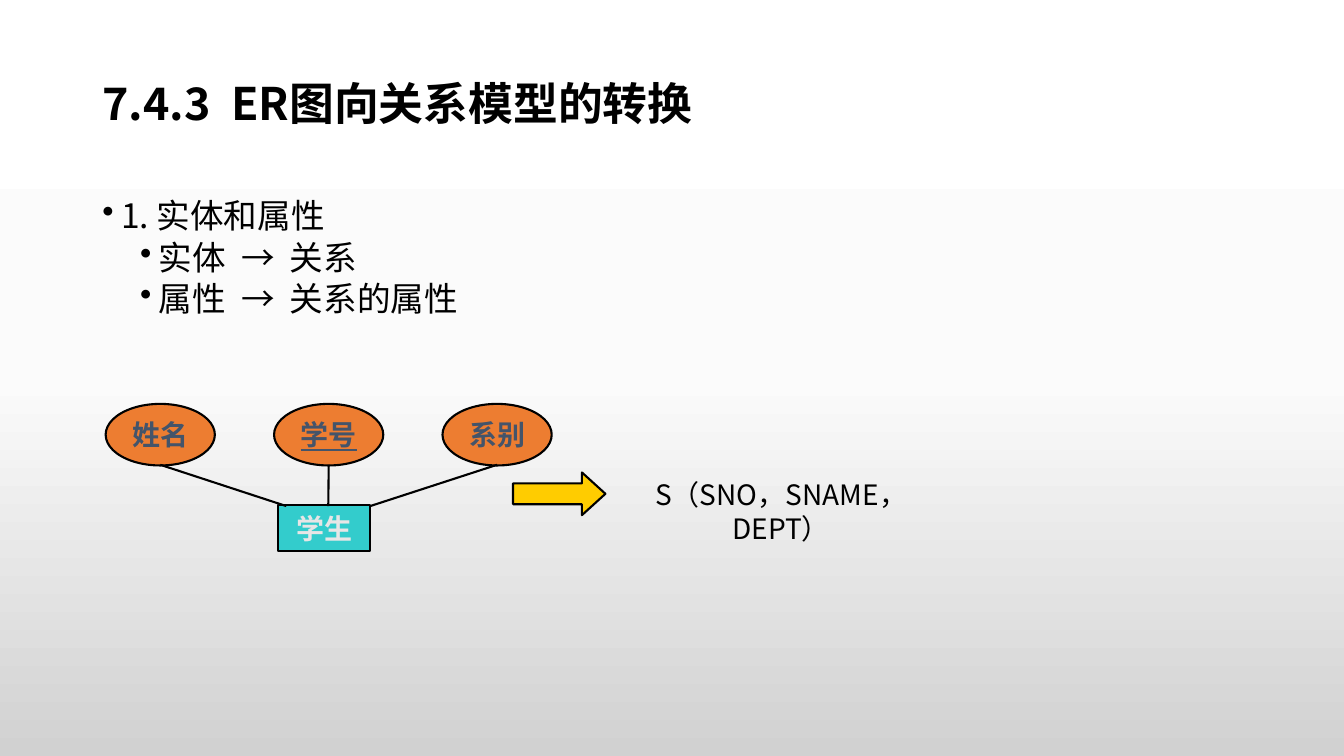
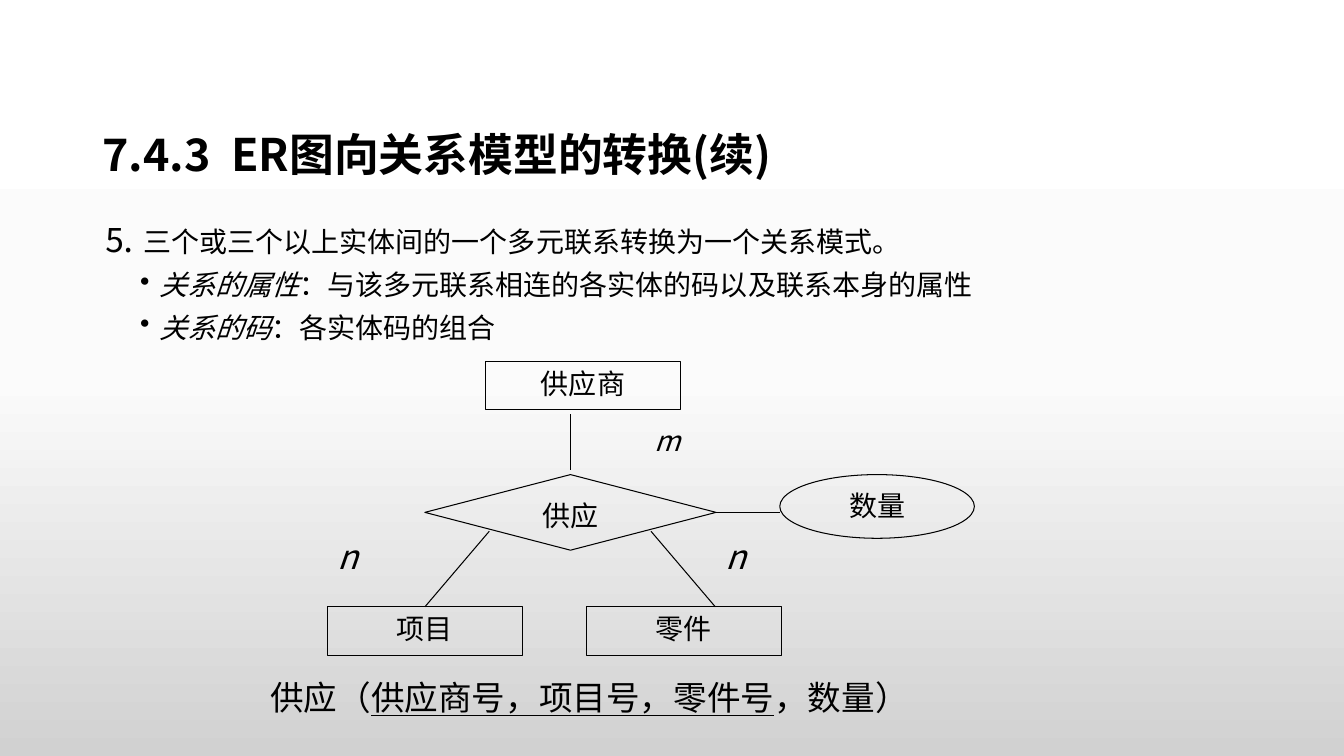
from copy import deepcopy
from lxml.etree import SubElement
from pptx import Presentation
from pptx.dml.color import RGBColor
from pptx.enum.shapes import MSO_CONNECTOR, MSO_SHAPE
from pptx.enum.text import MSO_ANCHOR, PP_ALIGN
from pptx.oxml.ns import qn
from pptx.util import Pt


class Theme:
    font = "Noto Sans CJK SC"
    black, slate, pale = "000000", "44546A", "E7E6E6"
    orange, teal, gold = "ED7D31", "33CCCC", "FFCC00"
    back = [(0, "FFFFFF"), (0.5, "FBFBFB"), (1, "D1D1D1")]
    title, large, small = 32, 24, 20
    thick, thin = 1.5, 0.75
    indent, hang = (13.5, 40.5), 13.5
    before = (7.5, 3.75)


WIDE = (" ", "w")  # one space, set twice as wide


# Paragraphs are (level, bullet, runs); level None means a plain label.
# Runs are (text, flags, size): b bold, i italic, u underline, w wide.
def write(shape, paras, size=Theme.small, color=Theme.black, line=None,
          align=PP_ALIGN.LEFT, anchor=MSO_ANCHOR.TOP, wrap=True):
    frame = shape.text_frame
    frame.word_wrap, frame.vertical_anchor = wrap, anchor
    for n, (level, bullet, runs) in enumerate(paras):
        para = frame.paragraphs[0] if n == 0 else frame.add_paragraph()
        para.alignment = align
        if line:
            para.line_spacing = line
        if level is not None:
            para.level = level
            if n:
                para.space_before = Pt(Theme.before[level])
            props = para._p.get_or_add_pPr()
            props.set("marL", str(Pt(Theme.indent[level])))
            props.set("indent", str(-Pt(Theme.hang)))
            if bullet:
                SubElement(props, qn("a:buChar")).set("char", "•")
        for text, flags, *own in runs:
            run = para.add_run()
            run.text = text
            font = run.font
            points = own[0] if own else size
            font.size, font.name = Pt(points), Theme.font
            font.color.rgb = RGBColor.from_string(color)
            font.bold, font.italic = "b" in flags, "i" in flags
            font.underline = "u" in flags
            props = run._r.get_or_add_rPr()
            SubElement(props, qn("a:ea")).set("typeface", Theme.font)
            if "w" in flags:
                props.set("spc", str(round(points * 22.4)))


def draw(slide, kind, spot, weight, fill=None):
    if kind == "line":
        item = slide.shapes.add_connector(
            MSO_CONNECTOR.STRAIGHT, *[Pt(v) for v in spot])
        SubElement(item._element.spPr, qn("a:effectLst"))
    else:
        item = slide.shapes.add_shape(kind, *[Pt(v) for v in spot])
        item.shadow.inherit = False
        if fill:
            item.fill.solid()
            item.fill.fore_color.rgb = RGBColor.from_string(fill)
        else:
            item.fill.background()
    item.line.color.rgb = RGBColor.from_string(Theme.black)
    item.line.width = Pt(weight)
    return item


deck = Presentation()
deck.slide_width, deck.slide_height = Pt(960), Pt(540)

# Shared background
master = deck.slide_master
fill = master.background.fill
fill.gradient()
fill.gradient_angle = 270
stops = master.element.find(".//" + qn("a:gsLst"))
stops.append(deepcopy(stops[-1]))
for stop, (place, color) in zip(fill.gradient_stops, Theme.back):
    stop.position = place
    stop.color.rgb = RGBColor.from_string(color)

# Slides with titles
heads = [
    ("ER图向关系模型的转换", (66, 42, 612, 68), MSO_ANCHOR.MIDDLE),
    ("ER图向关系模型的转换(续)", (66, 29, 828, 104), MSO_ANCHOR.BOTTOM),
]
slides = []
for text, spot, anchor in heads:
    slide = deck.slides.add_slide(deck.slide_layouts[6])
    box = slide.shapes.add_textbox(*[Pt(v) for v in spot])
    runs = [("7.4.3", "b"), (" ", "bw"), (text, "b")]
    write(box, [(None, False, runs)], Theme.title, line=0.9, anchor=anchor)
    slides.append(slide)
first, second = slides

# Slide 1: rules
box = first.shapes.add_textbox(Pt(66), Pt(139), Pt(612), Pt(108))
write(box, [
    (0, True, [("1. 实体和属性", "")]),
    (1, True, [("实体", ""), WIDE, ("→", ""), WIDE, ("关系", "")]),
    (1, True, [("属性", ""), WIDE, ("→", ""), WIDE, ("关系的属性", "")]),
], Theme.large, line=0.9)

# Slide 1: student entity and its attributes
arrow = draw(first, MSO_SHAPE.RIGHT_ARROW, (366.5, 337.5, 66, 30.5),
             Theme.thick, Theme.gold)
arrow.adjustments[0], arrow.adjustments[1] = 0.49, 0.55
box = draw(first, MSO_SHAPE.RECTANGLE, (198.5, 360.5, 66, 33),
           Theme.thick, Theme.teal)
write(box, [(None, False, [("学生", "b")])], color=Theme.pale,
      align=PP_ALIGN.CENTER, anchor=MSO_ANCHOR.MIDDLE)
traits = [("姓名", "b", 204.5), ("学号", "bu", 234.5), ("系别", "b", 264.5)]
for n, (text, flags, end) in enumerate(traits):
    left = 75.5 + 120.3 * n
    oval = draw(first, MSO_SHAPE.OVAL, (left, 288.5, 78, 44),
                Theme.thick, Theme.orange)
    write(oval, [(None, False, [(text, flags)])], color=Theme.slate,
          align=PP_ALIGN.CENTER, anchor=MSO_ANCHOR.MIDDLE, wrap=False)
    draw(first, "line", (left + 39, 332, end, 361.5), Theme.thick)

# Slide 1: resulting relation
box = first.shapes.add_textbox(Pt(446), Pt(337.5), Pt(224), Pt(55))
write(box, [(None, False, [("S（SNO，SNAME，DEPT）", "")])],
      align=PP_ALIGN.CENTER)

# Slide 2: rules
box = second.shapes.add_textbox(Pt(66), Pt(150), Pt(696), Pt(100))
write(box, [
    (0, False, [("⒌ ", "", Theme.large),
                ("三个或三个以上实体间的一个多元联系转换为一个关系模式。", "")]),
    (1, True, [("关系的属性", "i"),
               ("：与该多元联系相连的各实体的码以及联系本身的属性", "")]),
    (1, True, [("关系的码", "i"), ("：各实体码的组合", "")]),
], line=1.1)

# Slide 2: supply diagram
nodes = [
    ("供应商", MSO_SHAPE.RECTANGLE, (347, 258, 139, 34.5)),
    ("供应", MSO_SHAPE.DIAMOND, (303.5, 339, 208, 54)),
    ("数量", MSO_SHAPE.OVAL, (557, 339, 139, 45.5)),
    ("零件", MSO_SHAPE.RECTANGLE, (419, 433.5, 139, 34.5)),
    ("项目", MSO_SHAPE.RECTANGLE, (234, 433.5, 139, 34.5)),
]
for text, kind, spot in nodes:
    node = draw(second, kind, spot, Theme.thin)
    write(node, [(None, False, [(text, "")])], align=PP_ALIGN.CENTER)
for ends in [(407.5, 296, 407.5, 336), (511.5, 366, 557, 366),
             (349.5, 379.5, 303.5, 433.5), (465, 379.5, 511, 433.5)]:
    draw(second, "line", ends, Theme.thin)
for text, left, top, size, align in [
        ("m", 442, 299, Theme.small, PP_ALIGN.CENTER),
        ("n", 234, 379.5, Theme.large, PP_ALIGN.JUSTIFY),
        ("n", 511, 379.5, Theme.large, PP_ALIGN.JUSTIFY)]:
    box = second.shapes.add_textbox(Pt(left), Pt(top), Pt(69), Pt(34.5))
    write(box, [(None, False, [(text, "i")])], size, align=align)

# Slide 2: resulting relation
box = second.shapes.add_textbox(Pt(186), Pt(480), Pt(594), Pt(36))
write(box, [(None, False, [("供应（", ""), ("供应商号，项目号，零件号", "u"),
                           ("，数量）", "")])], Theme.large)

deck.save("out.pptx")
